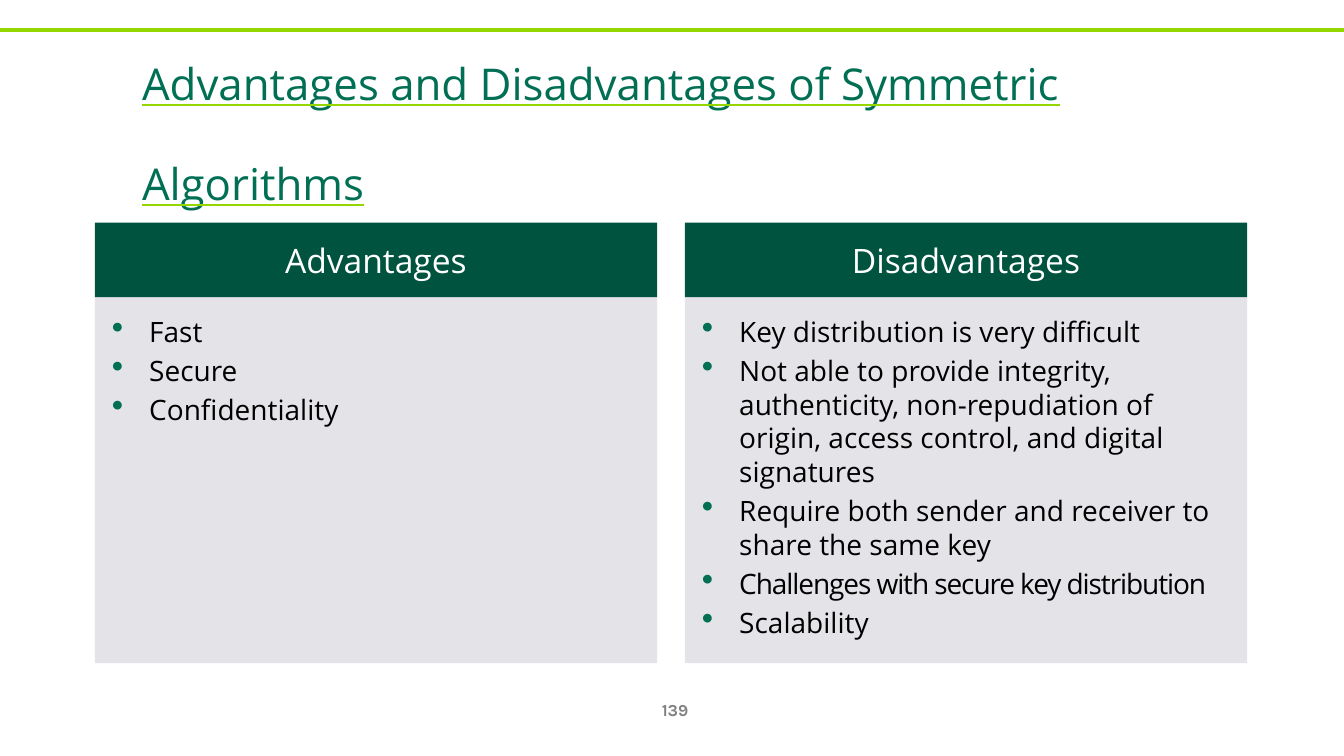
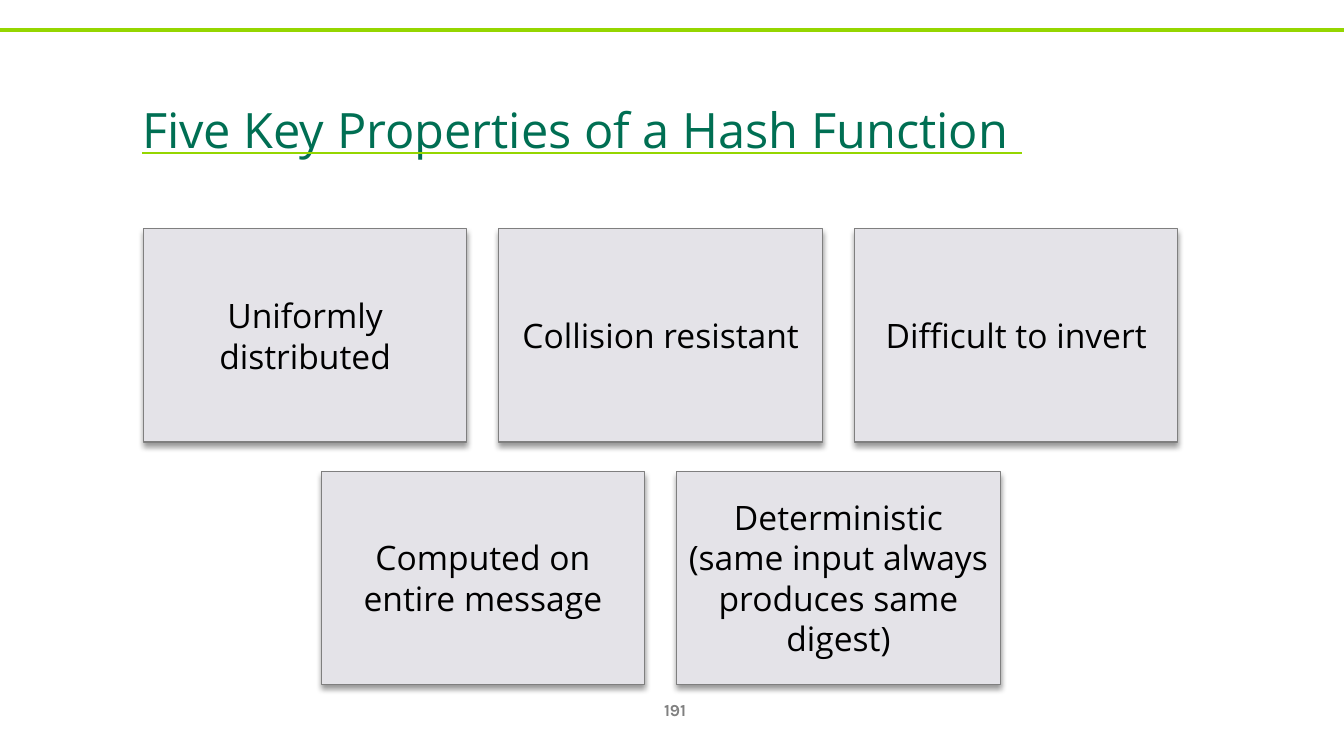
from dataclasses import dataclass
from lxml.etree import SubElement
from pptx import Presentation
from pptx.dml.color import RGBColor
from pptx.enum.shapes import MSO_CONNECTOR, MSO_SHAPE
from pptx.enum.text import MSO_ANCHOR, PP_ALIGN
from pptx.oxml import parse_xml
from pptx.oxml.ns import nsdecls, qn
from pptx.util import Cm, Pt


@dataclass(frozen=True)
class Theme:
    lime: str = "95D600"
    green: str = "006F53"
    dark: str = "00533E"
    panel: str = "E4E3E8"
    edge: str = "7F7F7F"
    gray: str = "808080"
    black: str = "000000"
    white: str = "FFFFFF"
    face: str = "Open Sans"
    foot: str = "Karla"
    small: int = 12
    body: int = 20
    large: int = 24


theme = Theme()


def add_box(slide, place, fill=None):
    spot = [Cm(n) for n in place]
    if not fill:
        return slide.shapes.add_textbox(*spot)
    box = slide.shapes.add_shape(MSO_SHAPE.RECTANGLE, *spot)
    box.shadow.inherit = False
    box.fill.solid()
    box.fill.fore_color.rgb = RGBColor.from_string(fill)
    box.line.fill.background()
    return box


def write(box, lines, size, color, align=PP_ALIGN.CENTER, anchor=MSO_ANCHOR.MIDDLE,
          inset=0.25, face=theme.face, bold=False, bullet=False):
    frame = box.text_frame
    look = {"word_wrap": True, "vertical_anchor": anchor}
    look.update({f"margin_{side}": Cm(inset) for side in ("left", "top", "right", "bottom")})
    for key, value in look.items():
        setattr(frame, key, value)
    for i, line in enumerate(lines):
        para = frame.add_paragraph() if i else frame.paragraphs[0]
        para.alignment = align
        if bullet:
            props = para._p.get_or_add_pPr()
            props.set("marL", str(Cm(0.94)))
            props.set("indent", str(-Cm(0.94)))
            tint = SubElement(props, qn("a:buClr"))
            SubElement(tint, qn("a:srgbClr"), val=theme.green)
            SubElement(props, qn("a:buSzPct"), val="120000")
            SubElement(props, qn("a:buChar"), char="•")
            if i:
                para.space_before = Pt(4)
        run = para.add_run()
        run.text = line
        for key, value in {"size": Pt(size), "name": face, "bold": bold}.items():
            setattr(run.font, key, value)
        run.font.color.rgb = RGBColor.from_string(color)
    return frame


deck = Presentation()
deck.slide_width, deck.slide_height = Cm(33.87), Cm(19.05)

heads = [
    ("Advantages and Disadvantages of Symmetric Algorithms", 54, 27.48, 1.1, "139"),
    ("Five Key Properties of a Hash Function ", 60, 30.55, 1.0, "191"),
]
slides = []
for title, size, width, space, page in heads:
    slide = deck.slides.add_slide(deck.slide_layouts[6])
    slides.append(slide)
    rule = slide.shapes.add_connector(MSO_CONNECTOR.STRAIGHT, 0, Cm(0.76), deck.slide_width, Cm(0.76))
    rule.line.color.rgb = RGBColor.from_string(theme.lime)
    rule.line.width = Pt(3)
    SubElement(rule._element.spPr, qn("a:effectLst"))
    write(add_box(slide, (16.23, 17.37, 1.57, 1.02)), [page], theme.small, theme.gray,
          inset=0.13, face=theme.foot, bold=True)
    frame = write(add_box(slide, (3.33, 1.55, width, 3.18)), [title], size, theme.green, PP_ALIGN.LEFT)
    para = frame.paragraphs[0]
    para.line_spacing = space
    font = para.runs[0].font
    font.underline = True
    props = para.runs[0]._r.get_or_add_rPr()
    props.set("baseline", "12000")
    props.find(qn("a:latin")).addprevious(parse_xml(
        f'<a:uFill {nsdecls("a")}><a:solidFill><a:srgbClr val="{theme.lime}"/></a:solidFill></a:uFill>'))

lists = {
    "Advantages": ["Fast", "Secure", "Confidentiality"],
    "Disadvantages": [
        "Key distribution is very difficult",
        "Not able to provide integrity, authenticity, non-repudiation of origin, "
        "access control, and digital signatures",
        "Require both sender and receiver to share the same key",
        "Challenges with secure key distribution",
        "Scalability",
    ],
}
for i, (head, lines) in enumerate(lists.items()):
    left = 2.39 + i * 14.87
    panel = add_box(slides[0], (left, 7.49, 14.17, 9.22), theme.panel)
    frame = write(panel, lines, theme.body, theme.black, PP_ALIGN.LEFT, MSO_ANCHOR.TOP, 0.43, bullet=True)
    band = add_box(slides[0], (left, 5.61, 14.17, 1.88), theme.dark)
    write(band, [head], theme.large, theme.white, inset=0.38)
frame.paragraphs[3].runs[0]._r.get_or_add_rPr().set("spc", "-80")

rows = [
    ["Uniformly distributed", "Collision resistant", "Difficult to invert"],
    ["Computed on entire message", "Deterministic (same input always produces same digest)"],
]
wide, high, gap = 8.15, 5.37, 0.81
for i, row in enumerate(rows):
    left = 16.65 - (len(row) * (wide + gap) - gap) / 2
    for j, label in enumerate(row):
        card = add_box(slides[1], (left + j * (wide + gap), 5.77 + i * 6.1, wide, high), theme.panel)
        card.line.color.rgb = RGBColor.from_string(theme.edge)
        card.line.width = Pt(0.75)
        glow = SubElement(card._element.spPr.find(qn("a:effectLst")), qn("a:outerShdw"),
                          blurRad=str(Pt(4)), dist=str(Pt(3)), dir="5400000", rotWithShape="0")
        tint = SubElement(glow, qn("a:srgbClr"), val=theme.black)
        SubElement(tint, qn("a:alpha"), val="40000")
        write(card, [label], theme.large, theme.black)

deck.save("out.pptx")
